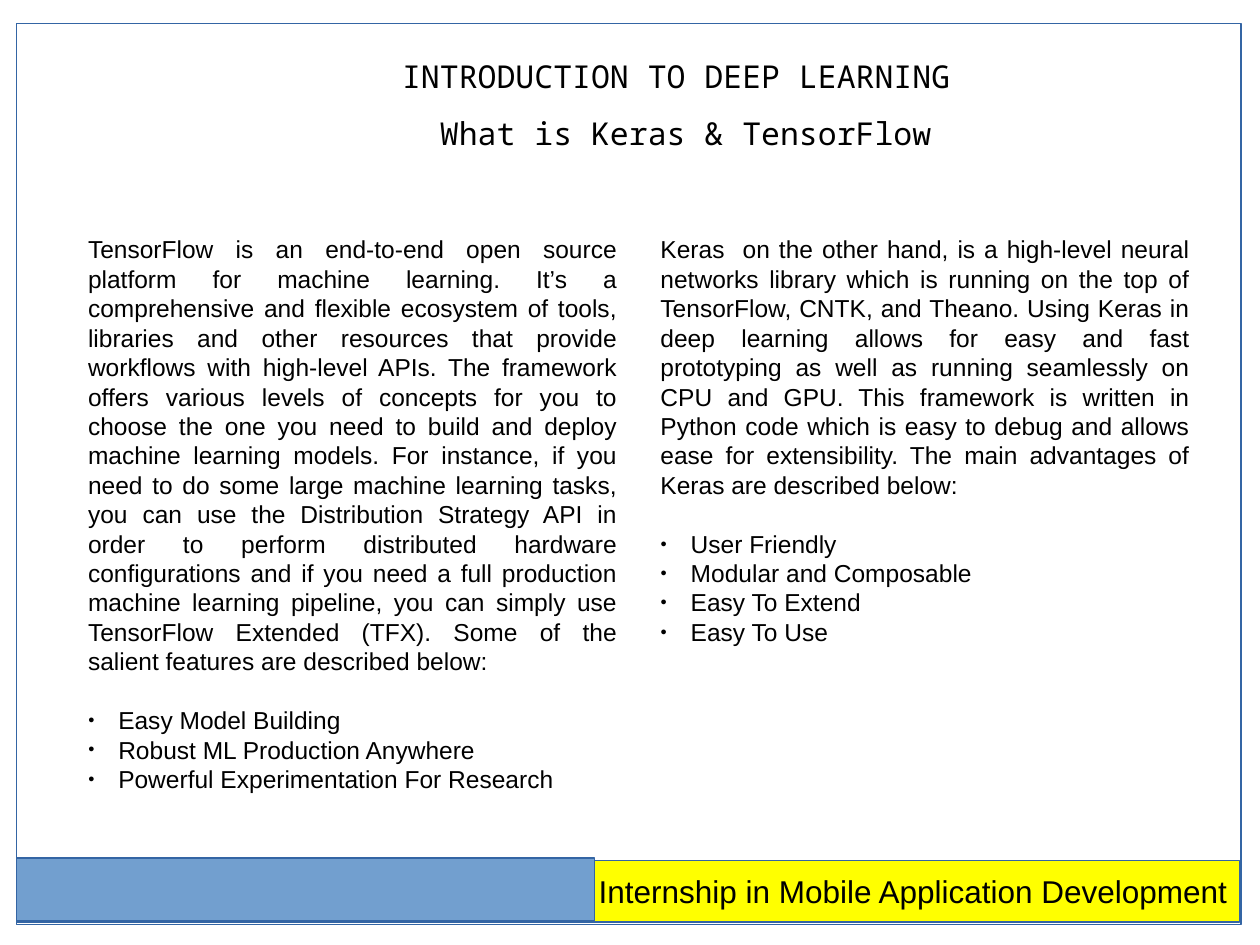
from lxml.etree import SubElement
from pptx import Presentation
from pptx.dml.color import RGBColor as Rgb
from pptx.enum.shapes import MSO_SHAPE as Kind
from pptx.enum.text import MSO_ANCHOR as Anchor, MSO_AUTO_SIZE as Fit, PP_ALIGN as Align
from pptx.oxml.ns import qn
from pptx.util import Cm, Pt

HUES = {"ink": "000000", "line": "3465A4", "blue": "729FCF", "gold": "FFFF00"}

HEADS = ["INTRODUCTION TO DEEP LEARNING", " What is Keras & TensorFlow"]
FLOW = (
    "TensorFlow is an end-to-end open source platform for machine learning. "
    "It’s a comprehensive and flexible ecosystem of tools, libraries and other "
    "resources that provide workflows with high-level APIs. The framework offers "
    "various levels of concepts for you to choose the one you need to build and "
    "deploy machine learning models. For instance, if you need to do some large "
    "machine learning tasks, you can use the Distribution Strategy API in order to "
    "perform distributed hardware configurations and if you need a full production "
    "machine learning pipeline, you can simply use TensorFlow Extended (TFX). "
    "Some of the salient features are described below:"
)
GAINS = ["Easy Model Building", "Robust ML Production Anywhere",
         "Powerful Experimentation For Research"]
KERAS = (
    "Keras  on the other hand, is a high-level neural networks library which is "
    "running on the top of TensorFlow, CNTK, and Theano. Using Keras in deep "
    "learning allows for easy and fast prototyping as well as running seamlessly "
    "on CPU and GPU. This framework is written in Python code which is easy to "
    "debug and allows ease for extensibility. The main advantages of Keras are "
    "described below:"
)
PERKS = ["User Friendly", "Modular and Composable", "Easy To Extend", "Easy To Use"]


def write(para, text, size=14, font="Arial", align=Align.JUSTIFY, lead=None,
          gap=0, dot=False):
    """Fill a paragraph with text in the given format."""
    run = para.add_run()
    run.text = text
    run.font.size, run.font.name = Pt(size), font
    run.font.color.rgb = Rgb.from_string(HUES["ink"])
    para.alignment, para.space_before = align, Pt(gap)
    if lead:
        para.line_spacing = lead
    props = para._p.get_or_add_pPr()
    props.set("marL", str(Cm(0.61) if dot else 0))
    props.set("indent", str(-Cm(0.61) if dot else 0))
    if dot:
        tint = SubElement(props, qn("a:buClr"))
        SubElement(tint, qn("a:srgbClr"), val=HUES["ink"])
        SubElement(props, qn("a:buSzPct"), val="45000")
        SubElement(props, qn("a:buChar"), char="●")
    else:
        SubElement(props, qn("a:buNone"))


class Deck:
    """Hold the style and the current slide."""

    def __init__(self, slide):
        self.slide = slide
        self.edge = Rgb.from_string(HUES["line"])

    def place(self, spot, box):
        """Move a placeholder and return its text frame."""
        hold = self.slide.placeholders[spot]
        hold.left, hold.top, hold.width, hold.height = map(Cm, box)
        frame = hold.text_frame
        frame.auto_size, frame.word_wrap = Fit.NONE, True
        frame.vertical_anchor = Anchor.TOP
        return frame

    def title(self, box, lines):
        """Write the centred heading lines."""
        frame = self.place(0, box)
        for num, text in enumerate(lines):
            para = frame.add_paragraph() if num else frame.paragraphs[0]
            write(para, text, size=18, font="Noto Sans Mono",
                  align=Align.CENTER, lead=1.5)

    def column(self, spot, box, text, items):
        """Write a justified text followed by a bullet list."""
        frame = self.place(spot, box)
        write(frame.paragraphs[0], text)
        for num, item in enumerate(items):
            write(frame.add_paragraph(), item, dot=True, gap=0 if num else 16.8)

    def rect(self, box, fill=None):
        """Draw an outlined rectangle and return it."""
        shape = self.slide.shapes.add_shape(Kind.RECTANGLE, *map(Cm, box))
        shape.shadow.inherit = False
        shape.line.color.rgb, shape.line.width = self.edge, Pt(0.75)
        if fill:
            shape.fill.solid()
            shape.fill.fore_color.rgb = Rgb.from_string(HUES[fill])
        else:
            shape.fill.background()
        return shape

    def banner(self, box, text):
        """Draw the footer bar with its text on the right."""
        frame = self.rect(box, "gold").text_frame
        frame.word_wrap, frame.vertical_anchor = True, Anchor.MIDDLE
        write(frame.paragraphs[0], text, size=18, align=Align.RIGHT)


def main():
    """Build and save the slide."""
    show = Presentation()
    show.slide_width, show.slide_height = Cm(25.4), Cm(19.05)
    deck = Deck(show.slides.add_slide(show.slide_layouts[3]))
    deck.title((5.69, 0.64, 15.88, 2.54), HEADS)
    deck.column(1, (1.52, 4.6, 11.18, 11.35), FLOW, GAINS)
    deck.column(2, (13.06, 4.6, 11.18, 8.59), KERAS, PERKS)
    for spot in list(deck.slide.placeholders):
        if not spot.text_frame.text:
            spot.element.getparent().remove(spot.element)
    deck.banner((0.33, 17.35, 24.66, 1.24),
                "Internship in Mobile Application Development")
    deck.rect((0.33, 17.3, 11.66, 1.27), "blue")
    deck.rect((0.33, 0.48, 24.69, 18.16))
    show.save("out.pptx")


if __name__ == "__main__":
    main()
